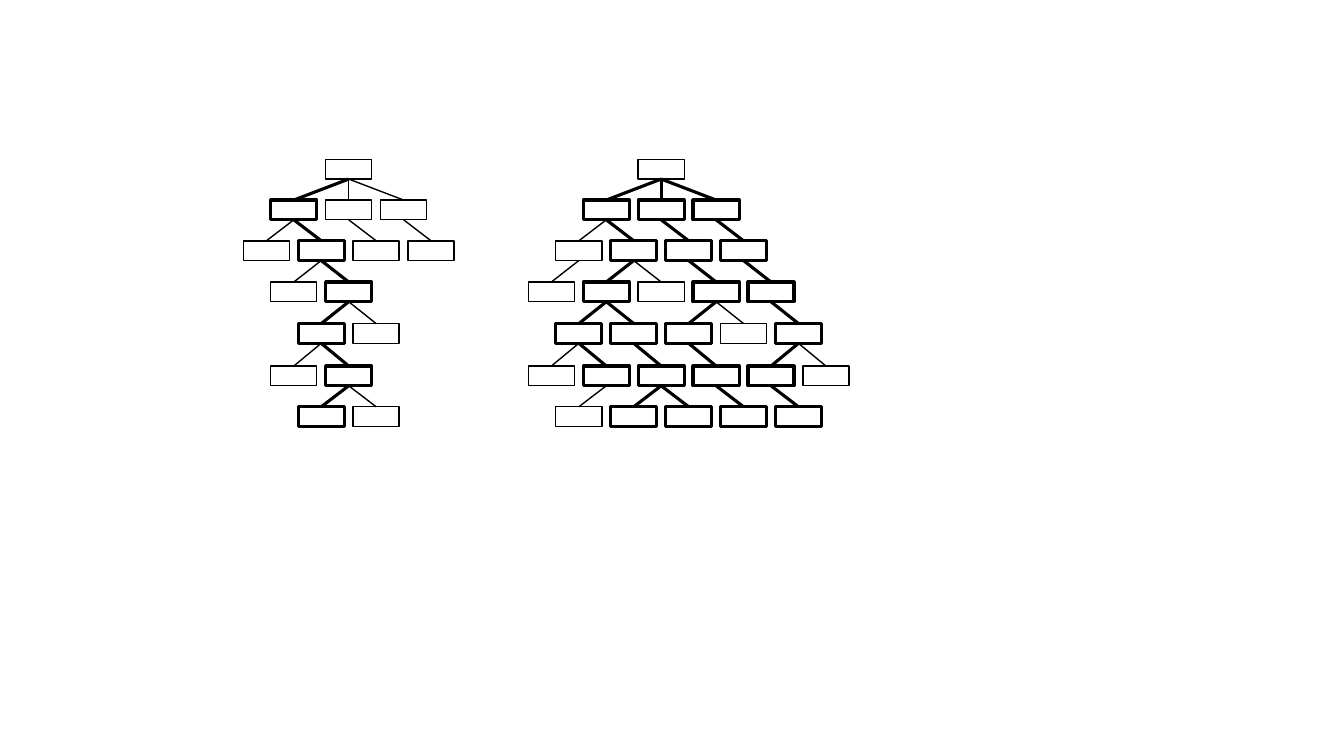
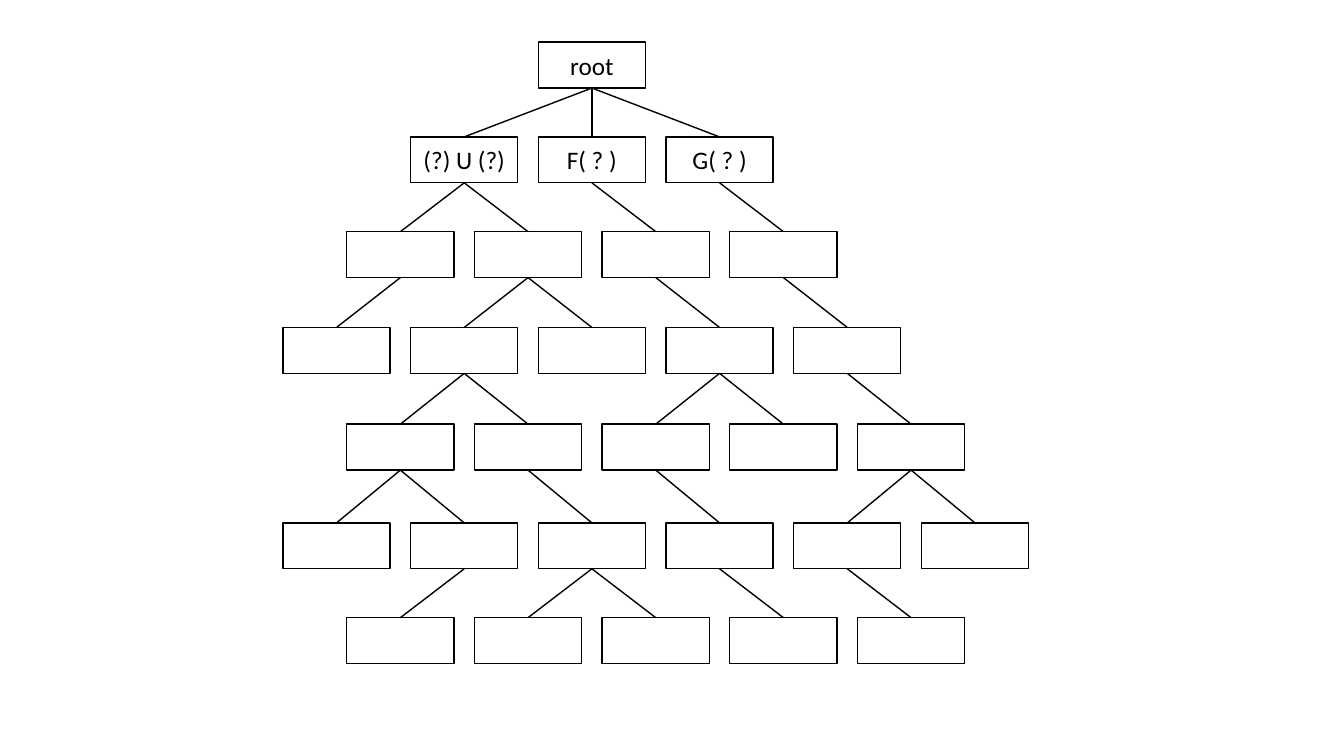
"""Build two slides of search trees drawn with boxes and links."""
from lxml.etree import SubElement
from pptx import Presentation
from pptx.dml.color import RGBColor
from pptx.enum.shapes import MSO_CONNECTOR, MSO_SHAPE
from pptx.enum.text import MSO_ANCHOR, PP_ALIGN
from pptx.oxml.ns import qn
from pptx.util import Pt

BLACK, WHITE = "000000", "FFFFFF"
THIN, BOLD = 1, 2.25
BOTTOM, TOP = 2, 0

BOX_WIDTH, BOX_HEIGHT, COLUMN_STEP = 76.6, 32.8, 45.6
ROW_OFFSETS = (0, 67.7, 135.4, 203.8, 272.9, 343.4, 411.1)
SMALL_SCALE = 0.43

FULL_TREE = (
    {-2: 0, 0: 0, 2: 0},
    {-3: -2, -1: -2, 1: 0, 3: 2},
    {-4: -3, -2: -1, 0: -1, 2: 1, 4: 3},
    {-3: -2, -1: -2, 1: 2, 3: 2, 5: 4},
    {-4: -3, -2: -3, 0: -1, 2: 1, 4: 5, 6: 5},
    {-3: -2, -1: 0, 1: 0, 3: 2, 5: 4},
)
FULL_CHOSEN = ({-2, 0, 2}, {-1, 1, 3}, {-2, 2, 4}, {-3, -1, 1, 5}, {-2, 0, 2, 4}, {-1, 1, 3, 5})

PATH_TREE = (
    {-2: 0, 0: 0, 2: 0},
    {-3: -2, -1: -2, 1: 0, 3: 2},
    {-2: -1, 0: -1},
    {-1: 0, 1: 0},
    {-2: -1, 0: -1},
    {-1: 0, 1: 0},
)
PATH_CHOSEN = ({-2}, {-1}, {0}, {-1}, {0}, {-1})

LABELS = {(0, 0): "root", (1, -2): "(?) U (?)", (1, 0): "F( ? )", (1, 2): "G( ? )"}


def colour(value):
    """Turn a hex string into a colour."""
    return RGBColor.from_string(value)


def apply(target, values):
    """Set each attribute of the target from a dict."""
    for name, value in values.items():
        setattr(target, name, value)


class Deck:
    """Hold the style and the current slide."""

    font = {"name": "Calibri", "size": Pt(18)}
    frame = {"vertical_anchor": MSO_ANCHOR.MIDDLE, "word_wrap": True}

    def __init__(self):
        """Start a wide presentation."""
        self.presentation = Presentation()
        apply(self.presentation, {"slide_width": Pt(960), "slide_height": Pt(540)})
        self.slide = None

    def add_slide(self):
        """Add a blank slide and make it current."""
        self.slide = self.presentation.slides.add_slide(self.presentation.slide_layouts[6])

    def outline(self, item, weight):
        """Draw the line of a box or link in black."""
        item.line.color.rgb = colour(BLACK)
        item.line.width = Pt(weight)

    def box(self, shapes, center, top, scale, weight, label):
        """Add one tree node."""
        width, height = BOX_WIDTH * scale, BOX_HEIGHT * scale
        shape = shapes.add_shape(
            MSO_SHAPE.RECTANGLE, Pt(center - width / 2), Pt(top), Pt(width), Pt(height)
        )
        shape.shadow.inherit = False
        shape.fill.solid()
        shape.fill.fore_color.rgb = colour(WHITE)
        self.outline(shape, weight)
        if label:
            apply(shape.text_frame, self.frame)
            paragraph = shape.text_frame.paragraphs[0]
            paragraph.alignment = PP_ALIGN.CENTER
            run = paragraph.add_run()
            run.text = label
            apply(run.font, self.font)
            run.font.color.rgb = colour(BLACK)
        return shape

    def link(self, shapes, parent, child, weight):
        """Join the bottom of a parent to the top of its child."""
        connector = shapes.add_connector(MSO_CONNECTOR.STRAIGHT, 0, 0, 0, 0)
        connector.begin_connect(parent, BOTTOM)
        connector.end_connect(child, TOP)
        self.outline(connector, weight)
        SubElement(connector._element.spPr, qn("a:effectLst"))

    def tree(self, shapes, center, top, levels, scale=1, chosen=None, labels=None):
        """Add a tree whose chosen nodes and links are bold."""
        labels = labels or {}
        parents = {0: self.box(shapes, center, top, scale, THIN, labels.get((0, 0)))}
        for row, level in enumerate(levels, 1):
            children = {}
            for column, parent in level.items():
                weight = BOLD if chosen and column in chosen[row - 1] else THIN
                children[column] = self.box(
                    shapes,
                    center + column * COLUMN_STEP * scale,
                    top + ROW_OFFSETS[row] * scale,
                    scale,
                    weight,
                    labels.get((row, column)),
                )
                self.link(shapes, parents[parent], children[column], weight)
            parents = children

    def grouped_tree(self, center, top, levels, chosen):
        """Add a small tree as one group."""
        group = self.slide.shapes.add_group_shape()
        self.tree(group.shapes, center, top, levels, SMALL_SCALE, chosen)


def main():
    """Build and save both slides."""
    deck = Deck()
    deck.add_slide()
    deck.grouped_tree(249.1, 113.8, PATH_TREE, PATH_CHOSEN)
    deck.grouped_tree(472.3, 113.8, FULL_TREE, FULL_CHOSEN)
    deck.add_slide()
    deck.tree(deck.slide.shapes, 422.8, 30.1, FULL_TREE, labels=LABELS)
    deck.presentation.save("out.pptx")


if __name__ == "__main__":
    main()
